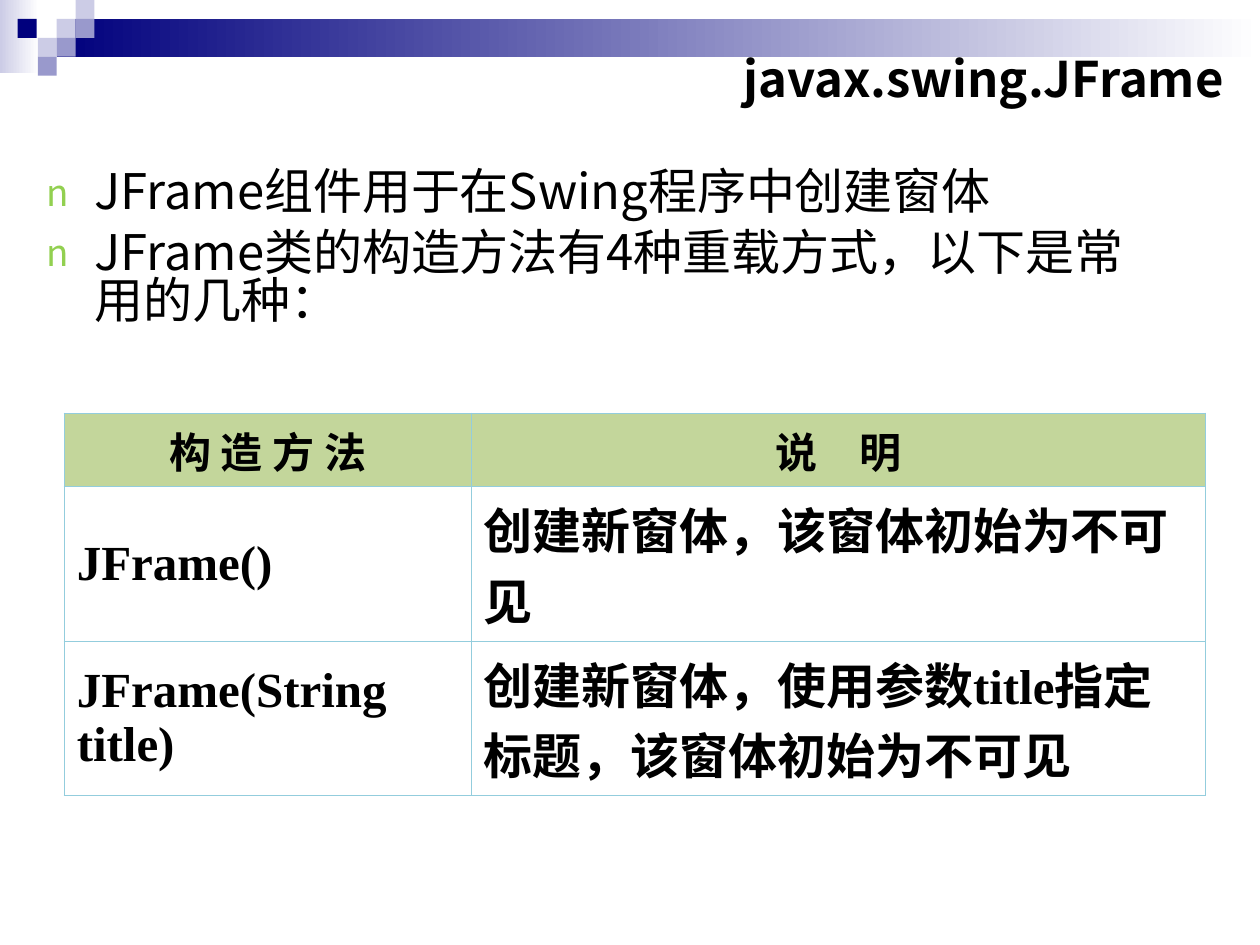
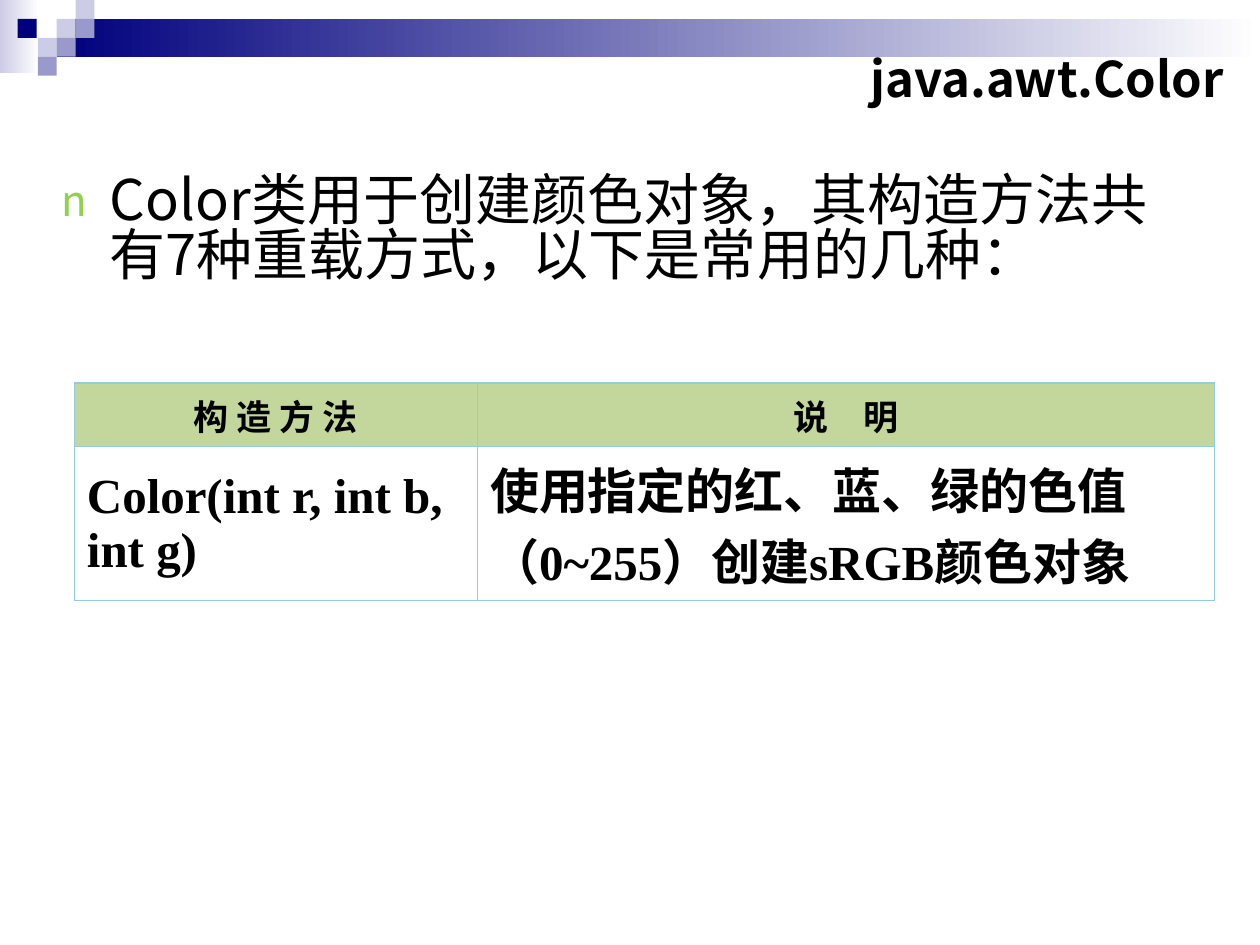
"""Build two slides on Swing and AWT constructors, with a shared pixel band."""
from lxml import etree
from pptx import Presentation
from pptx.dml.color import RGBColor
from pptx.enum.shapes import MSO_SHAPE
from pptx.enum.text import MSO_ANCHOR, MSO_AUTO_SIZE, PP_ALIGN
from pptx.oxml.ns import qn
from pptx.util import Inches, Pt

RECT = MSO_SHAPE.RECTANGLE
MIDDLE, TOP = MSO_ANCHOR.MIDDLE, MSO_ANCHOR.TOP
LEFT, CENTER, RIGHT = PP_ALIGN.LEFT, PP_ALIGN.CENTER, PP_ALIGN.RIGHT
NO_FIT = MSO_AUTO_SIZE.NONE

SANS, SERIF = "Noto Sans CJK SC", "Times New Roman"
HUES = {
    "navy": "00007D", "mid": "9999CC", "pale": "CCCCE6", "white": "FFFFFF",
    "black": "000000", "bullet": "92D050", "head": "C3D69B", "rule": "93CDDD",
}

HEAD = ("构 造 方 法", "说　明")
PAGES = [
    {
        "title": "javax.swing.JFrame",
        "points": ["JFrame组件用于在Swing程序中创建窗体",
                   "JFrame类的构造方法有4种重载方式，以下是常用的几种："],
        "body": (0.27, 1.31), "size": 28, "gap": 7,
        "rows": [("JFrame()", "创建新窗体，该窗体初始为不可见"),
                 ("JFrame(String title)",
                  "创建新窗体，使用参数title指定标题，该窗体初始为不可见")],
        "table": (0.51, 3.28), "cols": (3.23, 5.83), "head": 24,
    },
    {
        "title": "java.awt.Color",
        "points": ["Color类用于创建颜色对象，其构造方法共有7种重载方式，以下是常用的几种："],
        "body": (0.39, 1.35), "size": 32, "gap": 8,
        "rows": [("Color(int r, int b, int g)",
                  "使用指定的红、蓝、绿的色值（0~255）创建sRGB颜色对象")],
        "table": (0.59, 3.04), "cols": (3.2, 5.85), "head": 20,
    },
]

UNIT = 0.15
FADES = [(0, 0, 0.31, 0.58, "pale"), (0.45, 0.15, 9.55, 0.3, "navy")]
TILES = [(0.45, 0.15, "pale"), (0.6, 0, "pale"), (0.6, 0.15, "mid"),
         (0.3, 0.3, "pale"), (0.14, 0.15, "navy"), (0.45, 0.3, "mid"),
         (0.3, 0.45, "mid")]


def rgb(hue):
    return RGBColor.from_string(HUES[hue])


def place(shape, *box):
    shape.left, shape.top, shape.width, shape.height = map(Inches, box)


def style(para, size, face=SANS, bold=False, align=LEFT, gap=0):
    para.alignment, para.space_before = align, Pt(gap)
    font = para.font
    font.size, font.bold, font.name = Pt(size), bold, face
    font.color.rgb = rgb("black")
    props = para._p.pPr.find(qn("a:defRPr"))
    etree.SubElement(props, qn("a:ea"), typeface=SANS)


def add_bullet(para):
    props = para._p.get_or_add_pPr()
    props.set("marL", str(Inches(0.38)))
    props.set("indent", str(-Inches(0.38)))
    tint = etree.SubElement(props, qn("a:buClr"))
    etree.SubElement(tint, qn("a:srgbClr"), val=HUES["bullet"])
    etree.SubElement(props, qn("a:buSzPct"), val="75000")
    etree.SubElement(props, qn("a:buFont"), typeface=SANS)
    etree.SubElement(props, qn("a:buChar"), char="n")


def add_band(slide):
    """Draw the band and move it to the layout that all slides share."""
    group = slide.shapes.add_group_shape()
    parts = FADES + [(x, y, UNIT, UNIT, hue) for x, y, hue in TILES]
    for i, (*box, hue) in enumerate(parts):
        shape = group.shapes.add_shape(RECT, *map(Inches, box))
        shape.shadow.inherit = False
        shape.line.fill.background()
        shape.element.nvSpPr.cNvPr.set("id", str(101 + i))
        if i < len(FADES):
            shape.fill.gradient()
            shape.fill.gradient_angle = 0
            for stop, at, tone in zip(shape.fill.gradient_stops, (0, 1), (hue, "white")):
                stop.position, stop.color.rgb = at, rgb(tone)
        else:
            shape.fill.solid()
            shape.fill.fore_color.rgb = rgb(hue)
    group.element.nvGrpSpPr.cNvPr.set("id", "100")
    slide.slide_layout.shapes.element.insert(2, group.element)


def add_rules(cell, outer):
    props = cell._tc.get_or_add_tcPr()
    for i, side in enumerate(("lnL", "lnR", "lnT", "lnB")):
        line = etree.Element(qn("a:" + side), w=str(Pt(0.75 if outer[i] else 0.45)))
        fill = etree.SubElement(line, qn("a:solidFill"))
        etree.SubElement(fill, qn("a:srgbClr"), val=HUES["rule"])
        props.insert(i, line)


def add_grid(slide, page):
    rows = [HEAD] + page["rows"]
    highs = [0.5] + [1.03] * len(page["rows"])
    box = (*page["table"], sum(page["cols"]), sum(highs))
    table = slide.shapes.add_table(len(rows), len(HEAD), *map(Inches, box)).table
    table.first_row = table.horz_banding = False
    for col, wide in zip(table.columns, page["cols"]):
        col.width = Inches(wide)
    for r, texts in enumerate(rows):
        table.rows[r].height = Inches(highs[r])
        for c, text in enumerate(texts):
            cell = table.cell(r, c)
            cell.text, cell.vertical_anchor = text, MIDDLE
            cell.fill.solid()
            cell.fill.fore_color.rgb = rgb("white" if r else "head")
            add_rules(cell, (c == 0, c == len(HEAD) - 1, r == 0, r == len(rows) - 1))
            para = cell.text_frame.paragraphs[0]
            if r:
                style(para, 28, SERIF, True, gap=7)
            else:
                style(para, page["head"], SANS, True, CENTER, page["head"] / 4)


def add_page(deck, page):
    slide = deck.slides.add_slide(deck.slide_layouts[1])
    title, body = slide.placeholders
    place(title, 4.68, 0.28, 5.13, 0.67)
    frame = title.text_frame
    frame.text, frame.vertical_anchor = page["title"], MIDDLE
    frame.auto_size = NO_FIT
    style(frame.paragraphs[0], 28, bold=True, align=RIGHT)

    place(body, *page["body"], 9, 4.77)
    frame = body.text_frame
    frame.text, frame.vertical_anchor = "\n".join(page["points"]), TOP
    frame.auto_size = NO_FIT
    for para in frame.paragraphs:
        add_bullet(para)
        para.line_spacing = 0.82
        style(para, page["size"], gap=page["gap"])
    add_grid(slide, page)
    return slide


def main():
    deck = Presentation()
    deck.slide_width, deck.slide_height = Inches(10), Inches(7.5)
    slides = [add_page(deck, page) for page in PAGES]
    add_band(slides[0])
    deck.save("out.pptx")


if __name__ == "__main__":
    main()
